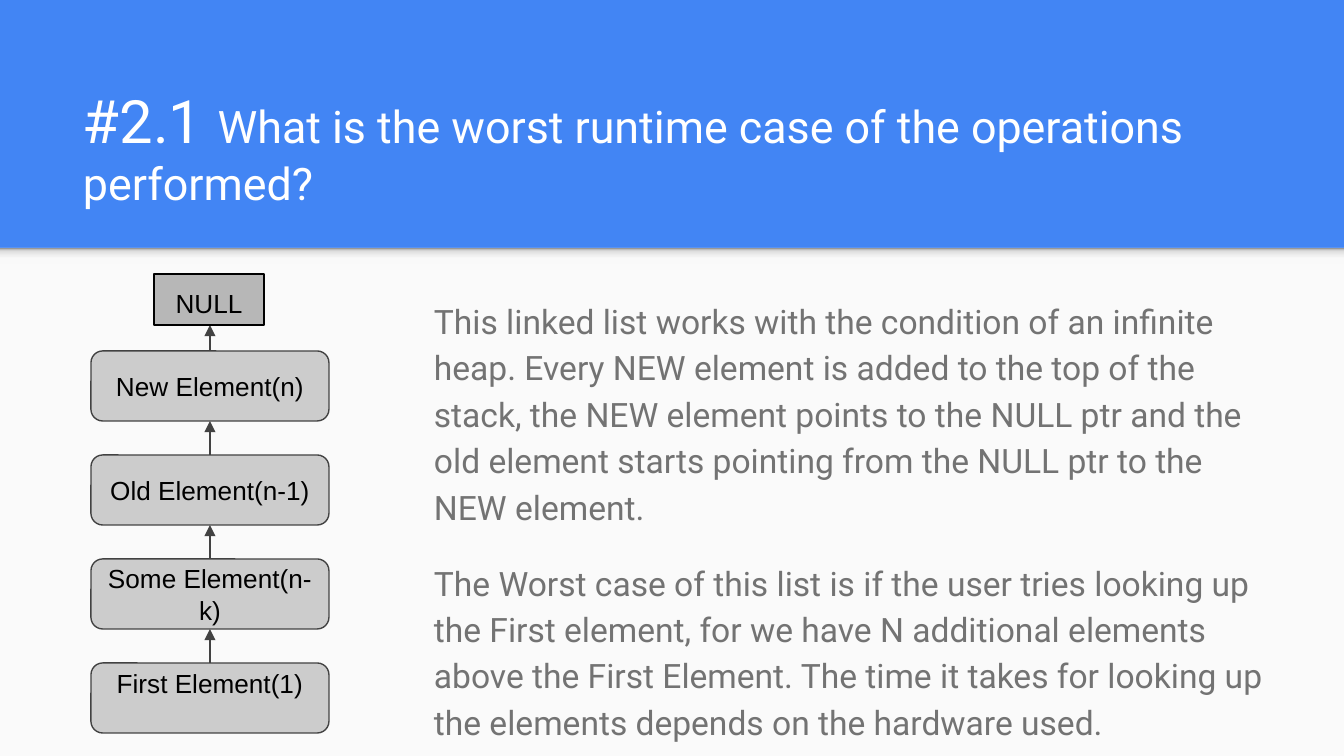
"""Build the slide on the worst runtime case of a linked list."""
from lxml import etree
from pptx import Presentation
from pptx import util as u
from pptx.dml.color import RGBColor
from pptx.enum import shapes, text
from pptx.oxml.ns import qn

COLORS = {
    "blue": "4285F4", "panel": "FAFAFA", "white": "FFFFFF", "body": "737373",
    "node": "CCCCCC", "null": "B7B7B7", "edge": "424242", "black": "000000",
}
SHADE_STOPS = [(0, "F9F9F9"), (36, "F9F9F9"), (80, "DEDEDE"), (100, "999999")]
TITLE = [("#2.1 ", 32), ("What is the worst runtime case of the operations performed?", 24)]
EXPLANATION = [
    "This linked list works with the condition of an infinite heap. Every NEW element "
    "is added to the top of the stack, the NEW element points to the NULL ptr and the "
    "old element starts pointing from the NULL ptr to the NEW element.",
    "The Worst case of this list is if the user tries looking up the First element, for "
    "we have N additional elements above the First Element. The time it takes for looking "
    "up the elements depends on the hardware used.",
]
ELEMENTS = ["New Element(n)", "Old Element(n-1)", "Some Element(n-k)", "First Element(1)"]

SLIDE_W, SLIDE_H, HEADER_H = 1344, 756, 248
NULL_BOX = (154, 274, 110, 51)
NODE_LEFT, NODE_TOP, NODE_W, NODE_H, NODE_STEP = 91, 351, 238, 70, 104
INSET = 13


def px(length):
    return u.Emu(round(length * 914400 / 134.4))


def rgb(name):
    return RGBColor.from_string(COLORS[name])


def write(target, paragraphs, *, font="Arial", color="black", align=text.PP_ALIGN.LEFT,
          anchor=text.MSO_ANCHOR.TOP, insets=(INSET,) * 4, line=1.0, after=0):
    frame = target.text_frame
    frame.word_wrap = True
    frame.vertical_anchor = anchor
    frame.margin_left, frame.margin_top, frame.margin_right, frame.margin_bottom = map(px, insets)
    for index, runs in enumerate(paragraphs):
        paragraph = frame.add_paragraph() if index else frame.paragraphs[0]
        paragraph.alignment = align
        paragraph.line_spacing = line
        paragraph.space_after = u.Pt(after)
        for words, size in runs:
            run = paragraph.add_run()
            run.text = words
            run.font.name = font
            run.font.size = u.Pt(size)
            run.font.color.rgb = rgb(color)


def add_box(slide, preset, bounds, fill, edge=None):
    box = slide.shapes.add_shape(preset, *map(px, bounds))
    box.shadow.inherit = False
    box.fill.solid()
    box.fill.fore_color.rgb = rgb(fill)
    if edge:
        box.line.color.rgb = rgb(edge)
        box.line.width = u.Pt(0.75)
    else:
        box.line.fill.background()
    return box


def add_shade(slide):
    shade = add_box(slide, shapes.MSO_SHAPE.RECTANGLE, (0, HEADER_H, SLIDE_W, 16), "panel")
    shade.fill.gradient()
    shade.fill.gradient_angle = 90
    stops = shade._element.spPr.find(qn("a:gradFill")).find(qn("a:gsLst"))
    for stop in list(stops):
        stops.remove(stop)
    for percent, color in SHADE_STOPS:
        stop = etree.SubElement(stops, qn("a:gs"), pos=str(percent * 1000))
        etree.SubElement(stop, qn("a:srgbClr"), val=color)


def add_arrow(slide, x, start, end):
    arrow = slide.shapes.add_connector(
        shapes.MSO_CONNECTOR.STRAIGHT, px(x), px(start), px(x), px(end))
    arrow.line.color.rgb = rgb("edge")
    arrow.line.width = u.Pt(0.75)
    etree.SubElement(arrow.line._get_or_add_ln(), qn("a:tailEnd"), type="triangle")
    etree.SubElement(arrow._element.spPr, qn("a:effectLst"))


def add_list(slide):
    centered = {"align": text.PP_ALIGN.CENTER}
    target = NULL_BOX[1] + NULL_BOX[3]
    for index, label in enumerate(ELEMENTS):
        top = NODE_TOP + index * NODE_STEP
        node = add_box(slide, shapes.MSO_SHAPE.ROUNDED_RECTANGLE,
                       (NODE_LEFT, top, NODE_W, NODE_H), "node", "edge")
        is_last = index == len(ELEMENTS) - 1
        insets = (INSET, 0, INSET, 30) if is_last else (INSET,) * 4
        write(node, [[(label, 14)]], anchor=text.MSO_ANCHOR.MIDDLE, insets=insets, **centered)
        add_arrow(slide, NODE_LEFT + NODE_W / 2, top, target)
        target = top + NODE_H
    null = add_box(slide, shapes.MSO_SHAPE.RECTANGLE, NULL_BOX, "null", "black")
    write(null, [[("NULL", 14)]], **centered)


def main():
    deck = Presentation()
    deck.slide_width, deck.slide_height = px(SLIDE_W), px(SLIDE_H)
    slide = deck.slides.add_slide(deck.slide_layouts[6])
    slide.background.fill.solid()
    slide.background.fill.fore_color.rgb = rgb("blue")
    add_box(slide, shapes.MSO_SHAPE.RECTANGLE,
            (0, HEADER_H, SLIDE_W, SLIDE_H - HEADER_H), "panel")
    add_shade(slide)
    title = slide.shapes.add_textbox(*map(px, (70, 109, 1208, 113)))
    write(title, [TITLE], font="Roboto", color="white", anchor=text.MSO_ANCHOR.BOTTOM)
    explanation = slide.shapes.add_textbox(*map(px, (421, 282, 857, 442)))
    write(explanation, [[(words, 18)] for words in EXPLANATION],
          font="Roboto", color="body", line=1.15, after=16)
    add_list(slide)
    deck.save("out.pptx")


if __name__ == "__main__":
    main()
